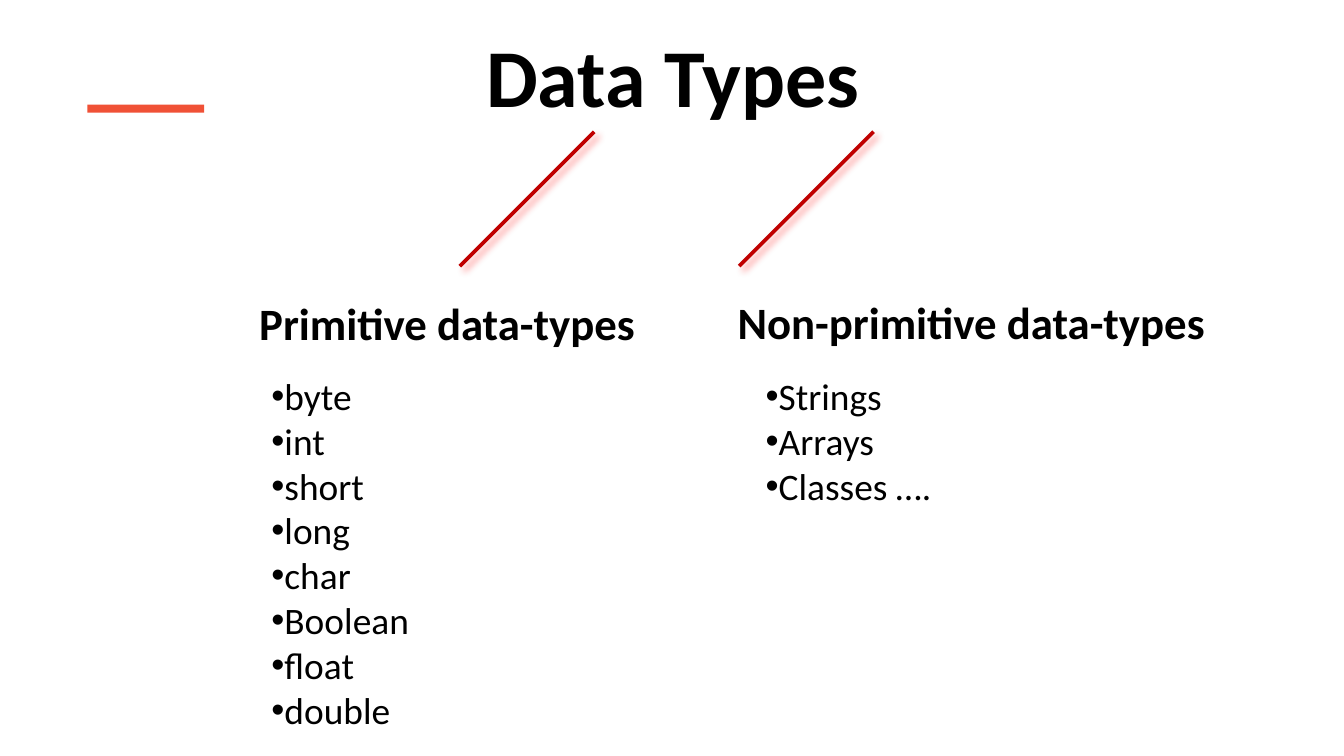
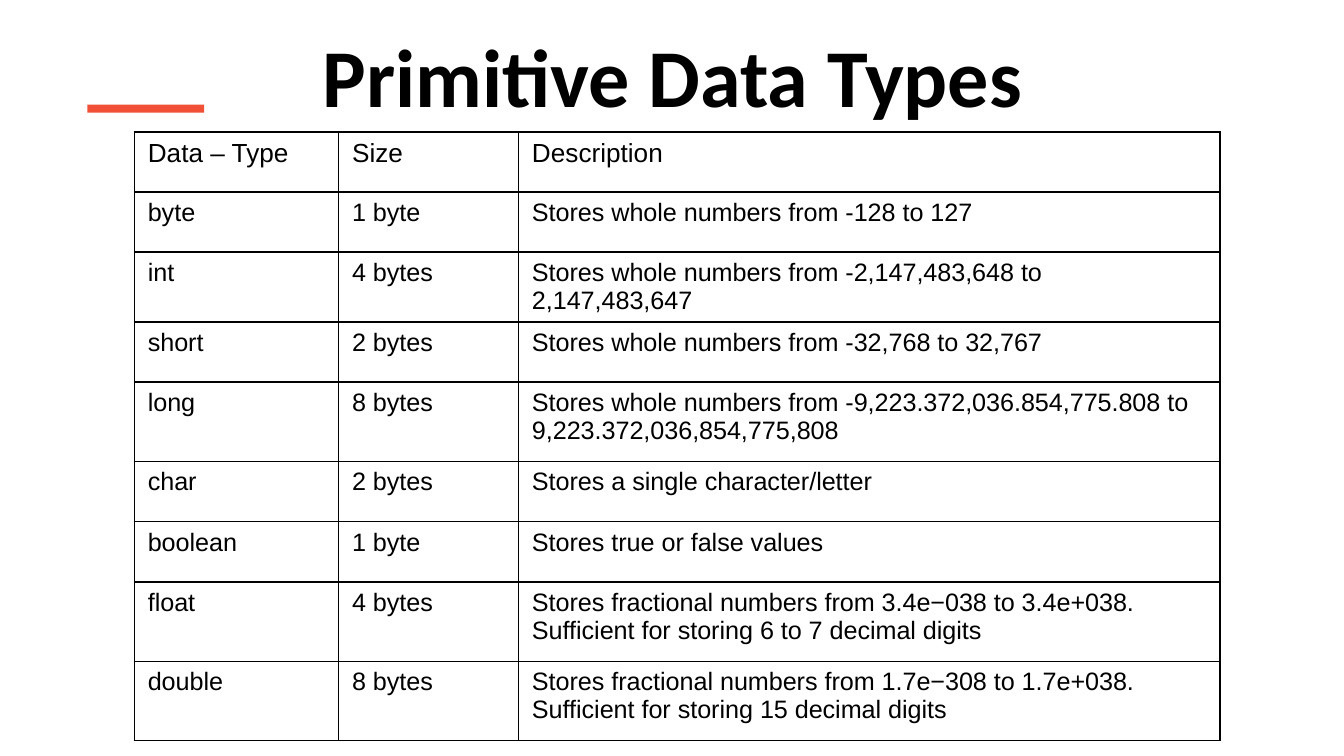
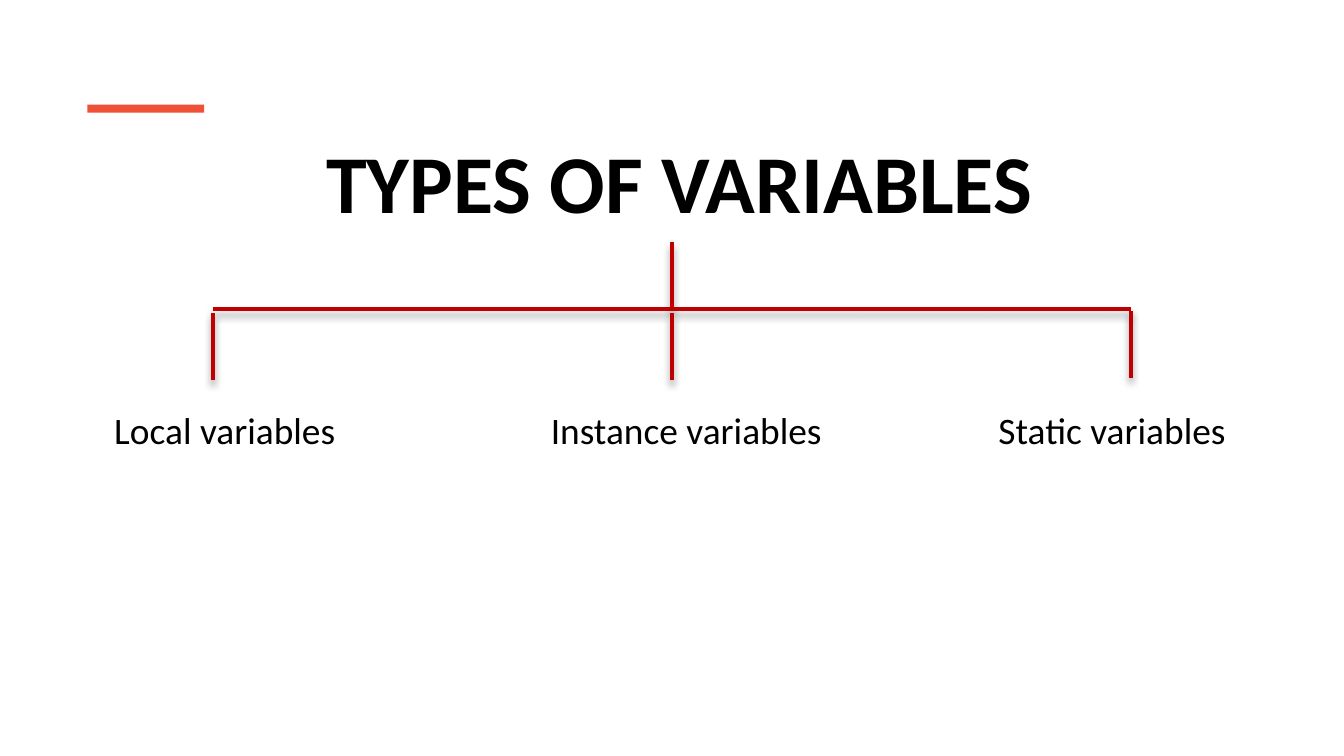
"""Build three slides on Java data types and kinds of variables."""
from dataclasses import dataclass
from typing import Sequence

from lxml.etree import SubElement
from pptx import Presentation
from pptx.dml.color import RGBColor
from pptx.enum.shapes import MSO_CONNECTOR as Connector, MSO_SHAPE as Preset
from pptx.enum.text import MSO_ANCHOR as Anchor, MSO_AUTO_SIZE as AutoSize, PP_ALIGN as Align
from pptx.oxml.ns import qn
from pptx.slide import Slide
from pptx.util import Cm, Pt

BLACK = RGBColor(0x00, 0x00, 0x00)
ACCENT = RGBColor(0xF0, 0x51, 0x36)
DARK_RED = RGBColor(0xC0, 0x00, 0x00)
RED = RGBColor(0xFF, 0x00, 0x00)
FONT = "Calibri"
TABLE_FONT = "Arial"
TITLE_ONLY = 5


@dataclass(frozen=True)
class Shadow:
    """Colour and direction in degrees of a line's shadow."""
    color: RGBColor
    angle: int


@dataclass(frozen=True)
class Label:
    """A text box, with places in centimetres."""
    left: float
    top: float
    width: float
    height: float
    lines: Sequence[str]
    size: int = 20
    bold: bool = False
    bulleted: bool = False


@dataclass(frozen=True)
class Branch:
    """One arm of the variable tree with its label."""
    x: float
    top: float
    label: Label


DIAGONAL_SHADOW = Shadow(RED, 45)
DOWN_SHADOW = Shadow(BLACK, 90)

TYPE_LABELS = (
    Label(4.65, 5.46, 7.7, 1.27, ("Primitive data-types",), 24, bold=True),
    Label(13.69, 5.44, 9.45, 1.27, ("Non-primitive data-types",), 24, bold=True),
    Label(4.88, 6.93, 3.12, 7.09,
          ("byte", "int", "short", "long", "char", "Boolean", "float", "double"), bulleted=True),
    Label(14.22, 6.93, 3.68, 2.82, ("Strings", "Arrays", "Classes …."), bulleted=True),
)

COLUMN_WIDTHS = (3.86, 3.4, 13.26)
SHORT_ROW, TALL_ROW = 1.14, 1.5
TALL_TYPES = ("long", "float", "double")
TYPE_ROWS = (
    ("Data – Type", "Size", "Description"),
    ("byte", "1 byte", "Stores whole numbers from -128 to 127"),
    ("int", "4 bytes", "Stores whole numbers from -2,147,483,648 to 2,147,483,647"),
    ("short", "2 bytes", "Stores whole numbers from -32,768 to 32,767"),
    ("long", "8 bytes",
     "Stores whole numbers from -9,223.372,036.854,775.808 to 9,223.372,036,854,775,808"),
    ("char", "2 bytes", "Stores a single character/letter"),
    ("boolean", "1 byte", "Stores true or false values"),
    ("float", "4 bytes", "Stores fractional numbers from 3.4e−038 to 3.4e+038. "
                         "Sufficient for storing 6 to 7 decimal digits"),
    ("double", "8 bytes", "Stores fractional numbers from 1.7e−308 to 1.7e+038. "
                          "Sufficient for storing 15 decimal digits"),
)

BAR_Y = 5.84
ARM = 1.27
BRANCHES = (
    Branch(4.02, 5.92, Label(1.91, 7.57, 4.72, 1.12, ("Local variables",))),
    Branch(12.7, 5.92, Label(10.16, 7.57, 5.69, 1.12, ("Instance variables",))),
    Branch(21.37, 5.87, Label(18.62, 7.57, 4.88, 1.12, ("Static variables",))),
)


def style_font(paragraph, size: float, name: str = FONT, bold: bool = False) -> None:
    """Set the black font of a whole paragraph."""
    font = paragraph.font
    font.name, font.size, font.bold = name, Pt(size), bold
    font.color.rgb = BLACK


def add_page(deck, title: str, left: float = 2.24, top: float = 0.48) -> Slide:
    """Add a slide with the accent band and a formatted title."""
    page = deck.slides.add_slide(deck.slide_layouts[TITLE_ONLY])
    band = page.shapes.add_shape(Preset.RECTANGLE, Cm(1.65), Cm(1.98), Cm(2.21), Cm(0.15))
    band.shadow.inherit = False
    band.fill.solid()
    band.fill.fore_color.rgb = ACCENT
    band.line.fill.background()

    heading = page.shapes.title
    heading.left, heading.top = Cm(left), Cm(top)
    heading.width, heading.height = Cm(20.96), Cm(2.01)
    frame = heading.text_frame
    frame.text = title
    frame.auto_size = AutoSize.NONE
    frame.vertical_anchor = Anchor.BOTTOM
    paragraph = frame.paragraphs[0]
    paragraph.alignment = Align.CENTER
    paragraph.line_spacing = 0.9
    style_font(paragraph, 44, bold=True)
    return page


def add_bullet(paragraph) -> None:
    """Give a paragraph a black round bullet."""
    properties = paragraph._p.get_or_add_pPr()
    properties.set("marL", "0")
    properties.set("indent", str(Cm(-0.36)))
    color = SubElement(properties, qn("a:buClr"))
    SubElement(color, qn("a:srgbClr"), val=str(BLACK))
    SubElement(properties, qn("a:buFont"), typeface=TABLE_FONT)
    SubElement(properties, qn("a:buChar"), char="•")


def add_label(page: Slide, label: Label) -> None:
    """Draw a text box with one paragraph per line."""
    box = page.shapes.add_textbox(Cm(label.left), Cm(label.top), Cm(label.width), Cm(label.height))
    frame = box.text_frame
    frame.word_wrap = True
    frame.auto_size = AutoSize.SHAPE_TO_FIT_TEXT
    frame.text = "\n".join(label.lines)
    for paragraph in frame.paragraphs:
        if label.bulleted:
            add_bullet(paragraph)
        style_font(paragraph, label.size, bold=label.bold)


def add_line(page: Slide, start: tuple[float, float], end: tuple[float, float],
             shadow: Shadow) -> None:
    """Draw a dark red line with a soft shadow."""
    line = page.shapes.add_connector(Connector.STRAIGHT, *map(Cm, start + end))
    line.line.color.rgb = DARK_RED
    line.line.width = Pt(2)
    effects = SubElement(line._element.spPr, qn("a:effectLst"))
    outer = SubElement(effects, qn("a:outerShdw"), blurRad=str(Pt(4)), dist=str(Pt(3)),
                       dir=str(shadow.angle * 60000), algn="t", rotWithShape="0")
    color = SubElement(outer, qn("a:srgbClr"), val=str(shadow.color))
    SubElement(color, qn("a:alpha"), val="40000")


def add_borders(cell) -> None:
    """Put a thin black line on every side of a cell."""
    properties = cell._tc.get_or_add_tcPr()
    for side in ("lnL", "lnR", "lnT", "lnB"):
        border = SubElement(properties, qn(f"a:{side}"), w=str(Pt(1)))
        fill = SubElement(border, qn("a:solidFill"))
        SubElement(fill, qn("a:srgbClr"), val=str(BLACK))


def add_type_table(page: Slide) -> None:
    """Draw the table of primitive types."""
    heights = [TALL_ROW if row[0] in TALL_TYPES else SHORT_ROW for row in TYPE_ROWS]
    table = page.shapes.add_table(len(TYPE_ROWS), len(COLUMN_WIDTHS), Cm(2.54), Cm(2.49),
                                  Cm(sum(COLUMN_WIDTHS)), Cm(sum(heights))).table
    table.first_row = table.horz_banding = False
    for column, width in zip(table.columns, COLUMN_WIDTHS):
        column.width = Cm(width)
    for index, (row, height, texts) in enumerate(zip(table.rows, heights, TYPE_ROWS)):
        row.height = Cm(height)
        for cell, text in zip(row.cells, texts):
            cell.text = text
            add_borders(cell)
            cell.fill.background()
            style_font(cell.text_frame.paragraphs[0], 13.5 if index else 14, TABLE_FONT)


def build_data_types(deck) -> None:
    """Show the two families of data types."""
    page = add_page(deck, "Data Types")
    for right in (11.23, 16.51):
        add_line(page, (right, 2.49), (right - 2.54, 5.03), DIAGONAL_SHADOW)
    for label in TYPE_LABELS:
        add_label(page, label)


def build_primitive_types(deck) -> None:
    """Show sizes and ranges of the primitive types."""
    add_type_table(add_page(deck, "Primitive Data Types"))


def build_variable_types(deck) -> None:
    """Show the tree of variable kinds."""
    page = add_page(deck, "TYPES OF VARIABLES ", 2.54, 2.49)
    add_line(page, (12.7, BAR_Y - ARM), (12.7, BAR_Y), DOWN_SHADOW)
    add_line(page, (BRANCHES[0].x, BAR_Y), (BRANCHES[-1].x, BAR_Y), DOWN_SHADOW)
    for branch in BRANCHES:
        add_line(page, (branch.x, branch.top), (branch.x, branch.top + ARM), DOWN_SHADOW)
        add_label(page, branch.label)


def main() -> None:
    """Build and save the deck."""
    deck = Presentation()
    deck.slide_width, deck.slide_height = Cm(25.4), Cm(14.29)
    build_data_types(deck)
    build_primitive_types(deck)
    build_variable_types(deck)
    deck.save("out.pptx")


if __name__ == "__main__":
    main()
